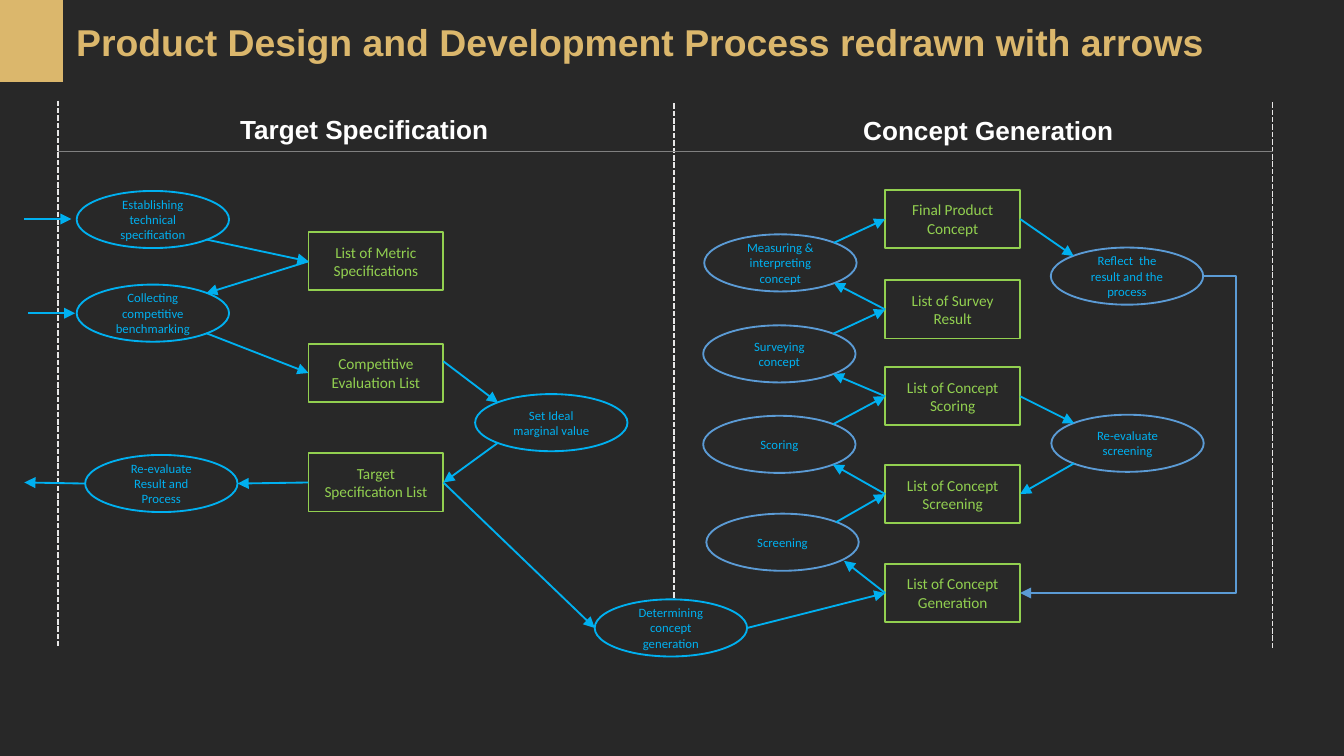
from lxml import etree
from pptx import Presentation
from pptx.dml.color import RGBColor
from pptx.enum.dml import MSO_LINE
from pptx.enum.shapes import MSO_CONNECTOR as Link, MSO_SHAPE as Geo
from pptx.enum.text import MSO_ANCHOR, MSO_AUTO_SIZE, PP_ALIGN
from pptx.oxml.ns import qn
from pptx.util import Cm, Pt

COLORS = {
    "background": "282828", "gold": "DBB76C", "white": "FFFFFF", "divider": "E7E6E6",
    "rule": "808080", "flow": "00B0F0", "steel": "5B9BD5", "output": "92D050",
}
ACTIVITY_SIZE = (2.88, 1.08)
OUTPUT_SIZE = (2.55, 1.1)
DIAGONAL = 0.35  # offset of an ellipse's diagonal point, as a share of its size
SITES = {
    "left": (-0.5, 0), "right": (0.5, 0),
    "top left": (-DIAGONAL, -DIAGONAL), "top right": (DIAGONAL, -DIAGONAL),
    "bottom left": (-DIAGONAL, DIAGONAL), "bottom right": (DIAGONAL, DIAGONAL),
}
RECT_SITES = {"left": 1, "right": 3}

TARGET_OUTPUT_X, CONCEPT_OUTPUT_X = 5.83, 16.73
OUTPUTS = {
    "metrics": ("List of Metric Specifications", TARGET_OUTPUT_X, 4.39),
    "evaluation": ("Competitive Evaluation List", TARGET_OUTPUT_X, 6.5),
    "target": ("Target Specification List", TARGET_OUTPUT_X, 8.57),
    "final": ("Final Product Concept", CONCEPT_OUTPUT_X, 3.59),
    "survey list": ("List of Survey Result", CONCEPT_OUTPUT_X, 5.3),
    "scoring list": ("List of Concept Scoring", CONCEPT_OUTPUT_X, 6.94),
    "screening list": ("List of Concept Screening", CONCEPT_OUTPUT_X, 8.79),
    "generation list": ("List of Concept Generation", CONCEPT_OUTPUT_X, 10.66),
}
ACTIVITIES = {
    "establish": ("Establishing technical specification", 1.45, 3.61, "flow"),
    "collect": ("Collecting competitive benchmarking", 1.45, 5.38, "flow"),
    "ideal": ("Set Ideal marginal value", 8.98, 7.45, "flow"),
    "re-evaluate": ("Re-evaluate Result and Process", 1.61, 8.6, "flow"),
    "determine": ("Determining concept generation", 11.24, 11.33, "flow"),
    "screening": ("Screening", 13.35, 9.71, "steel"),
    "scoring": ("Scoring", 13.29, 7.86, "steel"),
    "surveying": ("Surveying concept", 13.29, 6.15, "steel"),
    "measuring": ("Measuring & interpreting concept", 13.31, 4.43, "steel"),
    "rescreen": ("Re-evaluate screening", 19.87, 7.84, "steel"),
    "reflect": ("Reflect  the result and the process", 19.86, 4.68, "steel"),
}
# Each end is a (node, site) pair or a point in cm.
FLOWS = [
    ((0.46, 4.14), (1.35, 4.14)),
    ((0.53, 5.92), (1.42, 5.92)),
    (("establish", "bottom right"), ("metrics", "left")),
    (("metrics", "left"), ("collect", "top right")),
    (("collect", "bottom right"), ("evaluation", "left")),
    ((8.38, 6.83), ("ideal", "top left")),
    (("ideal", "bottom left"), ("target", "right")),
    (("target", "left"), ("re-evaluate", "right")),
    (("re-evaluate", "left"), (0.46, 9.12)),
    (("target", "right"), ("determine", "left")),
    (("determine", "right"), ("generation list", "left")),
    (("generation list", "left"), (15.95, 10.6)),
    (("screening", "top right"), ("screening list", "left")),
    (("screening list", "left"), ("scoring", "bottom right")),
    (("scoring", "top right"), ("scoring list", "left")),
    (("scoring list", "left"), ("surveying", "bottom right")),
    (("surveying", "top right"), ("survey list", "left")),
    (("survey list", "left"), ("measuring", "bottom right")),
    (("measuring", "top right"), ("final", "left")),
    (("final", "right"), ("reflect", "top left")),
    (("scoring list", "right"), ("rescreen", "top left")),
    (("rescreen", "bottom left"), ("screening list", "right")),
]


def rgb(name):
    return RGBColor.from_string(COLORS[name])


class FlowSlide:
    def __init__(self, slide):
        self.slide = slide
        self.nodes = {}
        fill = slide.background.fill
        fill.solid()
        fill.fore_color.rgb = rgb("background")

    def add_text(self, frame, text, size, color, font, bold=False, align=PP_ALIGN.CENTER):
        paragraph = frame.paragraphs[0]
        paragraph.alignment = align
        run = paragraph.add_run()
        run.text = text
        run.font.size, run.font.name, run.font.bold = Pt(size), font, bold
        run.font.color.rgb = rgb(color)

    def heading(self, text, box, size, color, align=PP_ALIGN.CENTER):
        frame = self.slide.shapes.add_textbox(*map(Cm, box)).text_frame
        frame.word_wrap = False
        frame.auto_size = MSO_AUTO_SIZE.SHAPE_TO_FIT_TEXT
        self.add_text(frame, text, size, color, "Arial", True, align)

    def shape(self, geometry, box, fill=None, line=None):
        shape = self.slide.shapes.add_shape(geometry, *map(Cm, box))
        shape.shadow.inherit = False
        if fill:
            shape.fill.solid()
            shape.fill.fore_color.rgb = rgb(fill)
        else:
            shape.fill.background()
        if line:
            shape.line.color.rgb = rgb(line)
            shape.line.width = Pt(1)
        else:
            shape.line.fill.background()
        return shape

    def node(self, key, text, geometry, box, line, size, color, fill=None):
        shape = self.shape(geometry, box, fill, line)
        frame = shape.text_frame
        frame.word_wrap = True
        frame.vertical_anchor = MSO_ANCHOR.MIDDLE
        self.add_text(frame, text, size, color, "Calibri")
        self.nodes[key] = (shape, box)

    def line(self, start, end, color, width=1, dashed=False, arrow=False, kind=Link.STRAIGHT):
        connector = self.slide.shapes.add_connector(kind, *map(Cm, (*start, *end)))
        connector.line.color.rgb = rgb(color)
        connector.line.width = Pt(width)
        if dashed:
            connector.line.dash_style = MSO_LINE.SQUARE_DOT
        properties = connector.element.spPr
        if arrow:
            etree.SubElement(properties.find(qn("a:ln")), qn("a:tailEnd"), type="triangle")
        etree.SubElement(properties, qn("a:effectLst"))
        return connector

    def point(self, end):
        if end[0] not in self.nodes:
            return end
        left, top, width, height = self.nodes[end[0]][1]
        dx, dy = SITES[end[1]]
        return left + width * (0.5 + dx), top + height * (0.5 + dy)

    def flow(self, start, end):
        connector = self.line(self.point(start), self.point(end), "flow", arrow=True)
        for (key, site), join in ((start, connector.begin_connect), (end, connector.end_connect)):
            if key in OUTPUTS:
                join(self.nodes[key][0], RECT_SITES[site])

    def feedback(self, start, end, bend):
        """Draw an elbow whose vertical part lies at bend, a share of its width."""
        elbow = self.line(self.point(start), self.point(end), "steel", 0.75,
                          arrow=True, kind=Link.ELBOW)
        guides = elbow.element.spPr.find(qn("a:prstGeom")).get_or_add_avLst()
        etree.SubElement(guides, qn("a:gd"), name="adj1", fmla=f"val {round(bend * 100000)}")


def main():
    deck = Presentation()
    deck.slide_width, deck.slide_height = Cm(25.4), Cm(14.29)
    page = FlowSlide(deck.slides.add_slide(deck.slide_layouts[6]))

    page.shape(Geo.RECTANGLE, (0, 0, 1.19, 1.55), fill="gold")
    page.heading("Product Design and Development Process redrawn with arrows",
                 (1.19, 0.23, 22, 1.12), 20, "gold", PP_ALIGN.LEFT)
    for x, top, bottom in ((1.09, 1.9, 12.22), (12.73, 1.95, 12.27), (24.05, 1.93, 12.27)):
        page.line((x, top), (x, bottom), "divider", dashed=True)
    page.line((1.09, 2.87), (24.05, 2.87), "rule", 0.5)
    page.heading("Target Specification", (4.27, 2.01, 5.23, 0.86), 14, "white")
    page.heading("Concept Generation", (16.05, 2.03, 5.26, 0.86), 14, "white")

    for key, (text, x, y) in OUTPUTS.items():
        page.node(key, text, Geo.RECTANGLE, (x, y, *OUTPUT_SIZE), "output", 8.2, "output")
    for key, (text, x, y, outline) in ACTIVITIES.items():
        fill = "background" if key == "determine" else None
        page.node(key, text, Geo.OVAL, (x, y, *ACTIVITY_SIZE), outline, 6.8, "flow", fill)

    for start, end in FLOWS:
        page.flow(start, end)
    page.feedback(("reflect", "right"), ("generation list", "right"), -0.18)
    deck.save("out.pptx")


if __name__ == "__main__":
    main()
